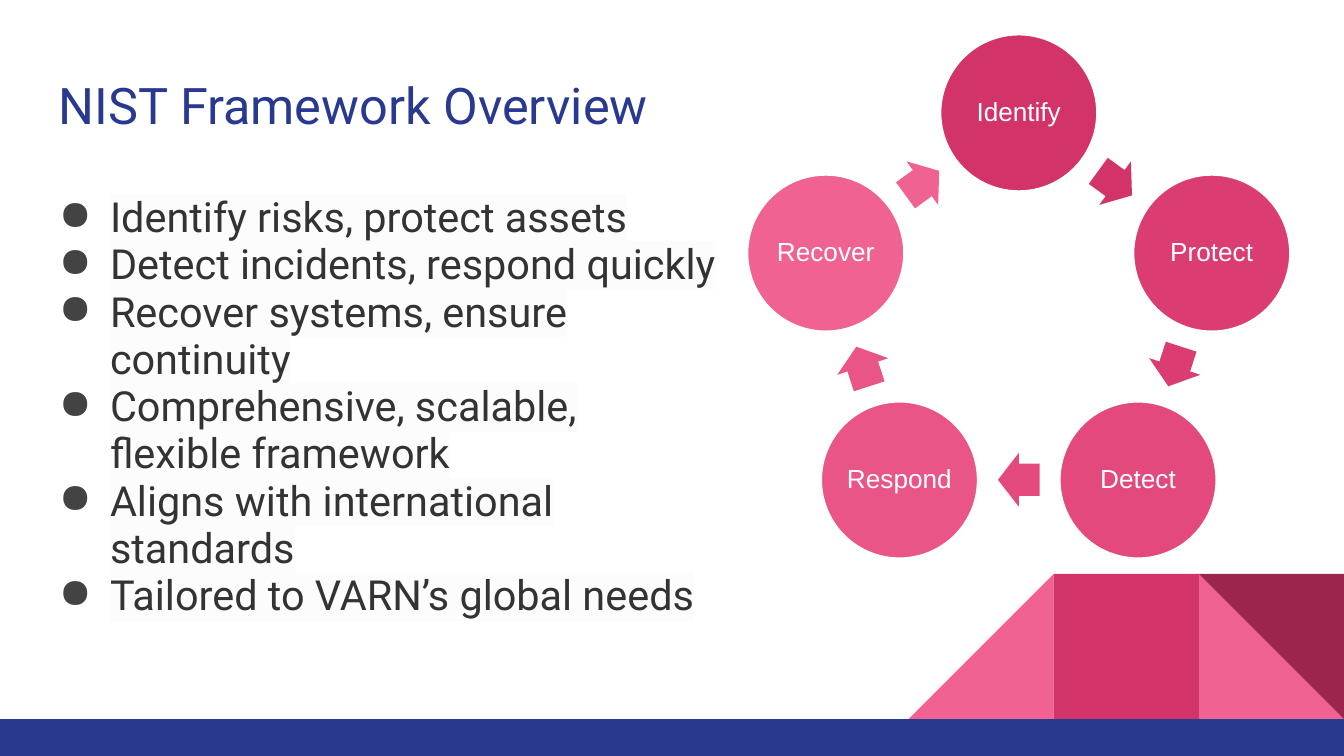
from math import cos, radians, sin

from lxml import etree
from pptx import Presentation
from pptx.dml.color import RGBColor
from pptx.enum.shapes import MSO_SHAPE
from pptx.enum.text import MSO_ANCHOR, PP_ALIGN
from pptx.oxml.ns import qn
from pptx.util import Inches, Pt

RECT = MSO_SHAPE.RECTANGLE
TRIANGLE = MSO_SHAPE.RIGHT_TRIANGLE
OVAL = MSO_SHAPE.OVAL
ARROW = MSO_SHAPE.RIGHT_ARROW
MIDDLE = MSO_ANCHOR.MIDDLE
CENTER = PP_ALIGN.CENTER

WHITE = RGBColor(0xFF, 0xFF, 0xFF)
NAVY = RGBColor(0x2A, 0x39, 0x90)
DARK = RGBColor(0x33, 0x33, 0x33)
BULLET = RGBColor(0x43, 0x43, 0x43)
PALE = RGBColor(0xFC, 0xFC, 0xFC)
PINK = RGBColor(0xF0, 0x62, 0x92)
ROSE = RGBColor(0xD2, 0x33, 0x69)
WINE = RGBColor(0x9C, 0x25, 0x4D)

STEPS = [
    ("Identify", ROSE),
    ("Protect", RGBColor(0xDB, 0x3D, 0x73)),
    ("Detect", RGBColor(0xE3, 0x49, 0x7D)),
    ("Respond", RGBColor(0xEA, 0x55, 0x87)),
    ("Recover", PINK),
]
POINTS = [
    "Identify risks, protect assets",
    "Detect incidents, respond quickly",
    "Recover systems, ensure continuity",
    "Comprehensive, scalable, flexible framework",
    "Aligns with international standards",
    "Tailored to VARN’s global needs",
]


class Deck:
    """Style and drawing methods for the current slide."""

    text_font = "Roboto"
    label_font = "Arial"

    def __init__(self, slide):
        self.s = slide

    def shape(self, kind, x, y, w, h, fill, rotation=0):
        sp = self.s.shapes.add_shape(kind, Inches(x), Inches(y), Inches(w), Inches(h))
        sp.shadow.inherit = False
        sp.fill.solid()
        sp.fill.fore_color.rgb = fill
        sp.line.fill.background()
        sp.rotation = rotation
        return sp

    def format(self, p, font, size, color):
        for r in p.runs:
            r.font.name = font
            r.font.size = Pt(size)
            r.font.color.rgb = color

    def text(self, x, y, w, h, text, size, color):
        tf = self.s.shapes.add_textbox(Inches(x), Inches(y), Inches(w), Inches(h)).text_frame
        tf.word_wrap = True
        tf.margin_left = tf.margin_right = Inches(0.1)
        tf.margin_top = tf.margin_bottom = Inches(0.1)
        tf.text = text
        for p in tf.paragraphs:
            self.format(p, self.text_font, size, color)
        return tf

    def bullets(self, x, y, w, h, items, size, color):
        tf = self.text(x, y, w, h, "\n".join(items), size, color)
        for p in tf.paragraphs:
            p.line_spacing = 0.95
            pPr = p._p.get_or_add_pPr()
            pPr.set("marL", str(Inches(0.38)))
            pPr.set("indent", str(-Inches(0.38)))
            clr = etree.SubElement(pPr, qn("a:buClr"))
            etree.SubElement(clr, qn("a:srgbClr"), val=str(BULLET))
            etree.SubElement(pPr, qn("a:buChar"), char="●")
            for r in p.runs:
                highlight = etree.Element(qn("a:highlight"))
                etree.SubElement(highlight, qn("a:srgbClr"), val=str(PALE))
                r._r.rPr.find(qn("a:solidFill")).addnext(highlight)

    def circle(self, cx, cy, d, label, fill):
        sp = self.shape(OVAL, cx - d / 2, cy - d / 2, d, d, fill)
        sp.line.color.rgb = WHITE
        sp.line.width = Pt(2)
        tf = sp.text_frame
        tf.word_wrap = False
        tf.vertical_anchor = MIDDLE
        tf.margin_left = tf.margin_right = Inches(0.02)
        tf.margin_top = tf.margin_bottom = Inches(0.02)
        tf.text = label
        p = tf.paragraphs[0]
        p.alignment = CENTER
        p.line_spacing = 0.9
        self.format(p, self.label_font, 14, WHITE)

    def arrow(self, cx, cy, w, h, fill, rotation):
        sp = self.shape(ARROW, cx - w / 2, cy - h / 2, w, h, fill, rotation)
        sp.adjustments[0] = 0.6
        sp.adjustments[1] = 0.5

    def cycle(self, cx, cy, radius, arrow_radius, steps):
        turn = 360 / len(steps)

        def around(r, angle):
            return cx + r * sin(radians(angle)), cy - r * cos(radians(angle))

        for i, (label, fill) in enumerate(steps):
            angle = i * turn
            self.circle(*around(radius, angle), 1.18, label, fill)
            angle += turn / 2
            self.arrow(*around(arrow_radius, angle), 0.31, 0.4, fill, angle)


def main():
    prs = Presentation()
    prs.slide_width = Inches(10)
    prs.slide_height = Inches(5.625)
    deck = Deck(prs.slides.add_slide(prs.slide_layouts[6]))

    # Corner decoration and footer bar
    side, top = 1.08, 4.27
    left, middle, right = (10 - n * side for n in (3, 2, 1))
    deck.shape(TRIANGLE, right, top, side, side, PINK)
    deck.shape(TRIANGLE, left, top, side, side, PINK, 270)
    deck.shape(RECT, middle, top, side, side, ROSE)
    deck.shape(TRIANGLE, right, top, side, side, WINE, 180)
    deck.shape(RECT, 0, 5.35, 10, 0.28, NAVY)

    # Title and bullet points
    deck.text(0.34, 0.45, 9.32, 0.66, "NIST Framework Overview", 27, NAVY)
    deck.bullets(0.34, 1.35, 5.09, 3.65, POINTS, 22.2, DARK)

    # Framework cycle
    deck.cycle(7.58, 2.35, 1.51, 1.22, STEPS)

    prs.save("out.pptx")


if __name__ == "__main__":
    main()
